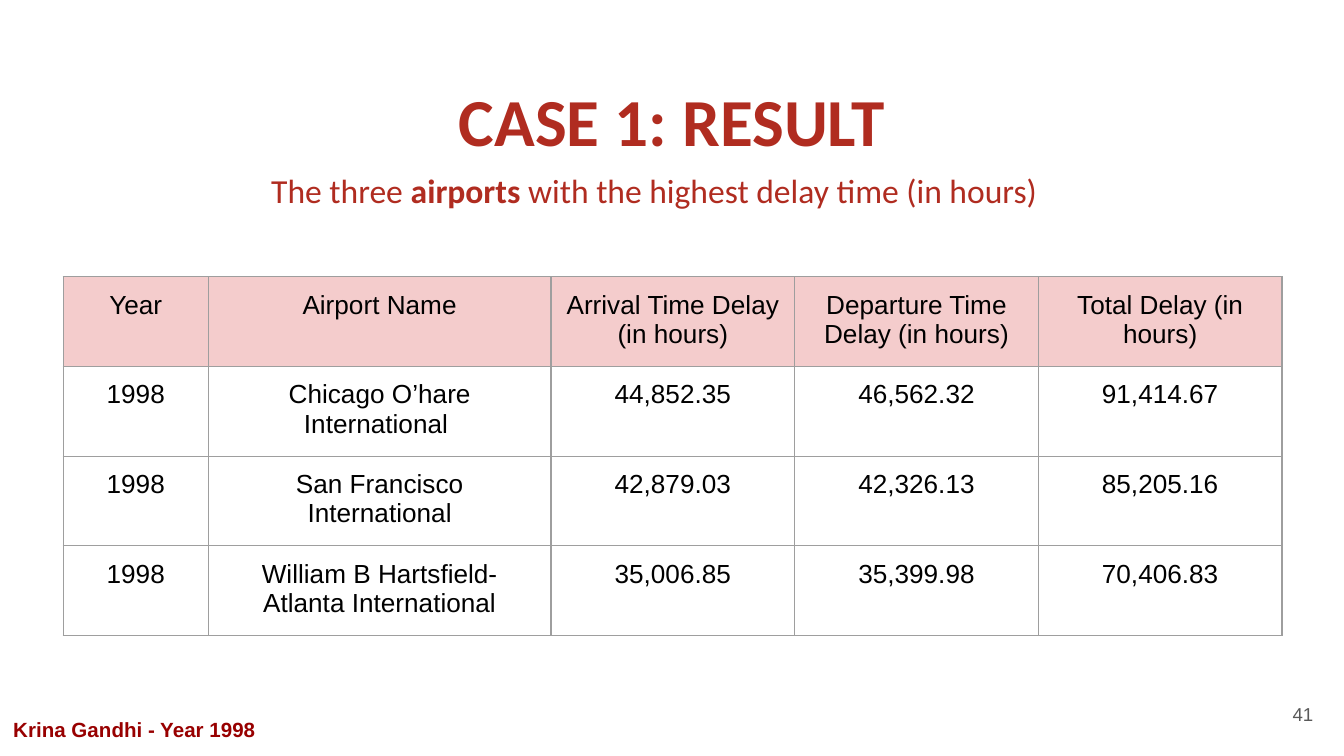
from lxml.etree import SubElement as Sub
from pptx import Presentation
from pptx.dml.color import RGBColor
from pptx.enum.text import MSO_ANCHOR as Anchor, PP_ALIGN as Align
from pptx.oxml.ns import qn
from pptx.util import Inches, Pt

RED = "B02C20"
HEAD = dict(name="Calibri", size=Pt(36), bold=True, color=RED)
SUBHEAD = dict(name="Calibri", size=Pt(18), bold=False, color=RED)
BODY = dict(name="Arial", size=Pt(14), bold=False, color="000000")
FOOT = dict(name="Arial", size=Pt(11), bold=True, color="980000")
PAGE = dict(name="Arial", size=Pt(10), bold=False, color="595959")

# Year and name columns, then three equal delay columns
WIDTHS = [1.08, 2.55] + [5.44 / 3] * 3
ROWS = [
    ["Year", "Airport Name", "Arrival Time Delay\n(in hours)",
     "Departure Time Delay (in hours)", "Total Delay (in hours)"],
    ["1998", "Chicago O’hare International ", "44,852.35", "46,562.32", "91,414.67"],
    ["1998", "San Francisco International", "42,879.03", "42,326.13", "85,205.16"],
    ["1998", "William B Hartsfield-Atlanta International",
     "35,006.85", "35,399.98", "70,406.83"],
]


def paint(target, color):
    target.rgb = RGBColor.from_string(color)


def style(font, form):
    for key, value in form.items():
        if key == "color":
            paint(font.color, value)
        else:
            setattr(font, key, value)


def pad(item):
    """Give a text frame or a cell the same inset on all sides."""
    for side in ("left", "top", "right", "bottom"):
        setattr(item, f"margin_{side}", Inches(0.1))


def write(frame, parts, align, anchor=Anchor.TOP):
    """Fill a frame with one paragraph of (text, format) parts."""
    pad(frame)
    frame.word_wrap = True
    frame.vertical_anchor = anchor
    para = frame.paragraphs[0]
    para.alignment = align
    for text, form in parts:
        run = para.add_run()
        run.text = text
        style(run.font, form)
    return para


def add_text(slide, box, *args):
    shape = slide.shapes.add_textbox(*map(Inches, box))
    return write(shape.text_frame, *args)


def add_title(slide, box):
    title = slide.shapes.title
    title.left, title.top, title.width, title.height = map(Inches, box)
    write(title.text_frame, [("CASE 1: RESULT", HEAD)], Align.CENTER)


def add_subhead(slide, box):
    parts = [("The three ", SUBHEAD),
             ("airports ", SUBHEAD | dict(bold=True)),
             ("with the highest delay time (in hours)", SUBHEAD)]
    para = add_text(slide, box, parts, Align.CENTER)
    para.line_spacing = 0.9
    para._p.get_or_add_pPr().set("marL", str(Inches(0.06)))


def edge(cell, color, width):
    """Draw the four borders of a cell."""
    props = cell._tc.get_or_add_tcPr()
    for side in ("lnL", "lnR", "lnT", "lnB"):
        line = Sub(props, qn(f"a:{side}"), w=str(Pt(width)))
        fill = Sub(line, qn("a:solidFill"))
        Sub(fill, qn("a:srgbClr"), val=color)


def add_grid(slide, box):
    table = slide.shapes.add_table(
        len(ROWS), len(WIDTHS), *map(Inches, box)).table
    table.horz_banding = False
    for col, width in zip(table.columns, WIDTHS):
        col.width = Inches(width)
    for r, row in enumerate(ROWS):
        for c, text in enumerate(row):
            cell = table.cell(r, c)
            cell.text = text
            pad(cell)
            edge(cell, "9E9E9E", 0.75)
            # Tinted header row, plain body rows
            if r == 0:
                cell.fill.solid()
                paint(cell.fill.fore_color, "F4CCCC")
            else:
                cell.fill.background()
            for para in cell.text_frame.paragraphs:
                para.alignment = Align.CENTER
                for run in para.runs:
                    style(run.font, BODY)


def add_footer(slide, left, right):
    add_text(slide, left, [("Krina Gandhi - Year 1998", FOOT)], Align.LEFT)
    add_text(slide, right, [("41", PAGE)], Align.RIGHT, Anchor.MIDDLE)


def main():
    deck = Presentation()
    # Widescreen, 16 to 9
    deck.slide_width = Inches(10)
    deck.slide_height = deck.slide_width * 9 // 16
    slide = deck.slides.add_slide(deck.slide_layouts[5])
    add_footer(slide, (0, 5.24, 2.52, 0.39), (9.27, 5.1, 0.6, 0.43))
    add_title(slide, (0.34, 0.49, 9.32, 0.63))
    add_subhead(slide, (1.66, 1.2, 6.36, 0.74))
    add_grid(slide, (0.47, 2.06, sum(WIDTHS), 0.62 * len(ROWS)))
    deck.save("out.pptx")


if __name__ == "__main__":
    main()
